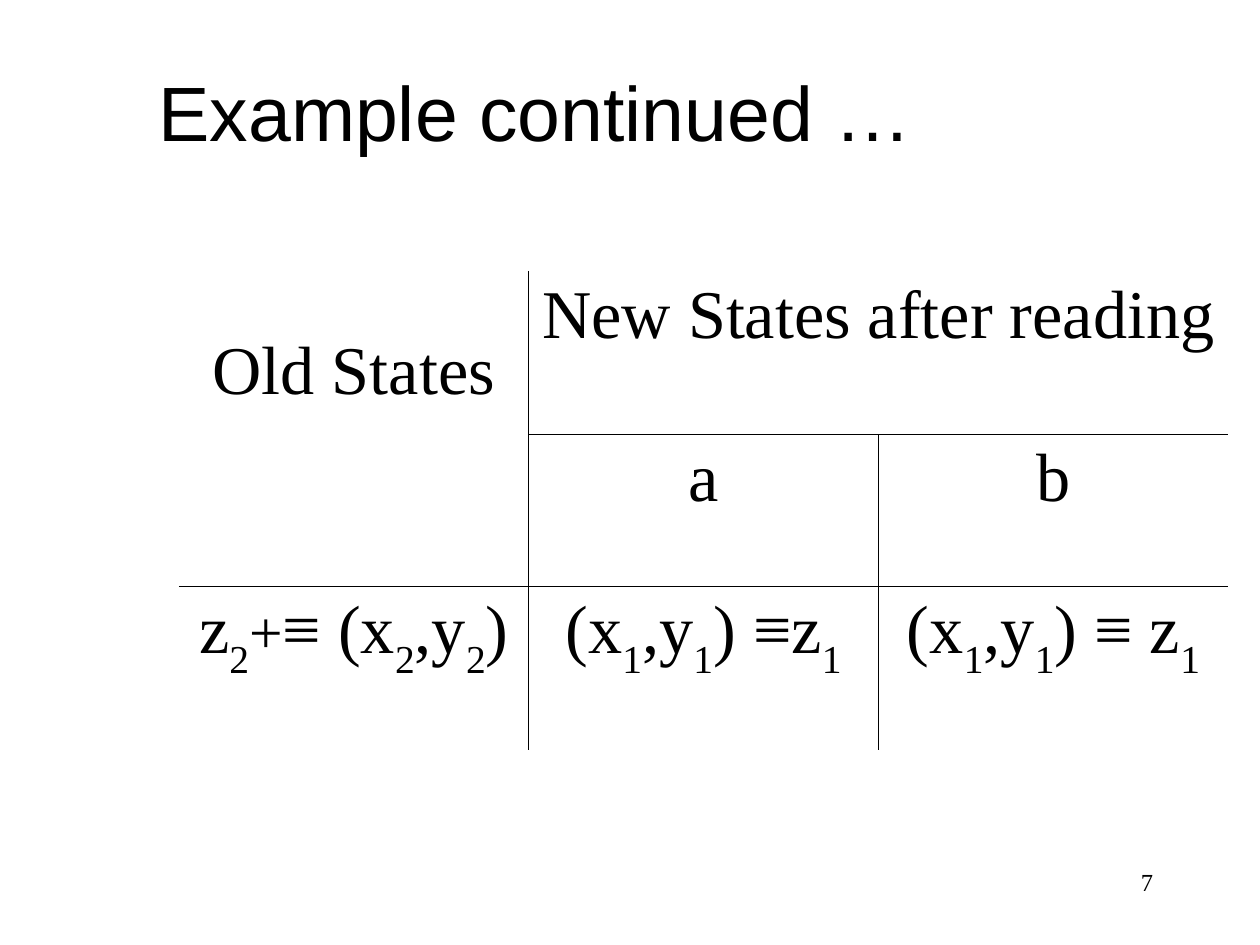
import dataclasses

import lxml.etree
import pptx
import pptx.dml.color
import pptx.enum.text
import pptx.oxml.ns
import pptx.util

Inches = pptx.util.Inches
Pt = pptx.util.Pt
ALIGN = pptx.enum.text.PP_ALIGN
ANCHOR = pptx.enum.text.MSO_ANCHOR


@dataclasses.dataclass
class Theme:
    ink: str = "000000"
    head: str = "Arial"
    body: str = "Times New Roman"
    title: int = 44
    cell: int = 39
    plus: int = 34
    page: int = 14
    line: float = 0.45


class Deck:
    def __init__(self, theme):
        self.theme = theme
        self.file = pptx.Presentation()
        self.file.slide_width = Inches(10)
        self.file.slide_height = Inches(7.5)
        self.slide = self.file.slides.add_slide(self.file.slide_layouts[6])

    def run(self, para, text, size, face, sub=False):
        run = para.add_run()
        run.text = text
        run.font.size = Pt(size)
        run.font.name = face
        run.font.color.rgb = pptx.dml.color.RGBColor.from_string(self.theme.ink)
        if sub:
            run._r.get_or_add_rPr().set("baseline", "-30000")

    def text(self, box, text, size, face, align, anchor=ANCHOR.TOP):
        frame = self.slide.shapes.add_textbox(*map(Inches, box)).text_frame
        frame.word_wrap = True
        frame.vertical_anchor = anchor
        para = frame.paragraphs[0]
        para.alignment = align
        self.run(para, text, size, face)

    def table(self, box, heights, spans, cells):
        rows, cols = len(spans), len(spans[0])
        table = self.slide.shapes.add_table(rows, cols, *map(Inches, box)).table
        table.first_row = table.horz_banding = False
        for row, height in zip(table.rows, heights):
            row.height = Inches(height)
        for name in cells:
            spots = [(r, c) for r in range(rows) for c in range(cols)
                     if spans[r][c] == name]
            cell = table.cell(*spots[0])
            if len(spots) > 1:
                cell.merge(table.cell(*spots[-1]))
            self.fill(cell, cells[name])
        for r in range(rows):
            for c in range(cols):
                self.rule(table.cell(r, c), r, c, spans)
        return table

    def fill(self, cell, parts):
        """Write the parts of a cell, with numbers set as subscripts."""
        para = cell.text_frame.paragraphs[0]
        para.alignment = ALIGN.CENTER
        for part in parts:
            size = self.theme.plus if part == "+" else self.theme.cell
            self.run(para, part, size, self.theme.body, part.isdigit())

    def rule(self, cell, r, c, spans):
        """Draw lines only where the cell meets a different one."""
        cell.fill.background()
        high = cell.span_height if cell.is_merge_origin else 1
        wide = cell.span_width if cell.is_merge_origin else 1
        sides = {"L": (r, c - 1), "R": (r, c + wide),
                 "T": (r - 1, c), "B": (r + high, c)}
        props = cell._tc.get_or_add_tcPr()
        qn = pptx.oxml.ns.qn
        for spot, (side, (y, x)) in enumerate(sides.items()):
            inside = 0 <= y < len(spans) and 0 <= x < len(spans[0])
            shown = inside and spans[y][x] != spans[r][c]
            line = lxml.etree.Element(qn("a:ln" + side))
            if shown:
                line.set("w", str(Pt(self.theme.line)))
                paint = lxml.etree.SubElement(line, qn("a:solidFill"))
                lxml.etree.SubElement(paint, qn("a:srgbClr"), val=self.theme.ink)
            else:
                lxml.etree.SubElement(line, qn("a:noFill"))
            props.insert(spot, line)


def main():
    theme = Theme()
    deck = Deck(theme)
    deck.text((7.17, 6.83, 2.08, 0.5), "7", theme.page, theme.body, ALIGN.RIGHT)
    deck.text((0, 0.25, 8.5, 1.25), "Example continued …", theme.title,
              theme.head, ALIGN.CENTER, ANCHOR.MIDDLE)
    spans = [("old", "new", "new"),
             ("old", "a", "b"),
             ("z", "on a", "on b")]
    pair = ["(x", "1", ",y", "1"]
    cells = {
        "old": ["Old States"],
        "new": ["New States after reading"],
        "a": ["a"],
        "b": ["b"],
        "z": ["z", "2", "+", "≡ (x", "2", ",y", "2", ")"],
        "on a": pair + [") ≡z", "1"],
        "on b": pair + [") ≡ z", "1"],
    }
    table = deck.table((1.42, 2.15, 8.33, 3.77), (1.3, 1.17, 1.3), spans, cells)
    table.cell(0, 0).margin_top = Inches(0.5)
    deck.file.save("out.pptx")


if __name__ == "__main__":
    main()
